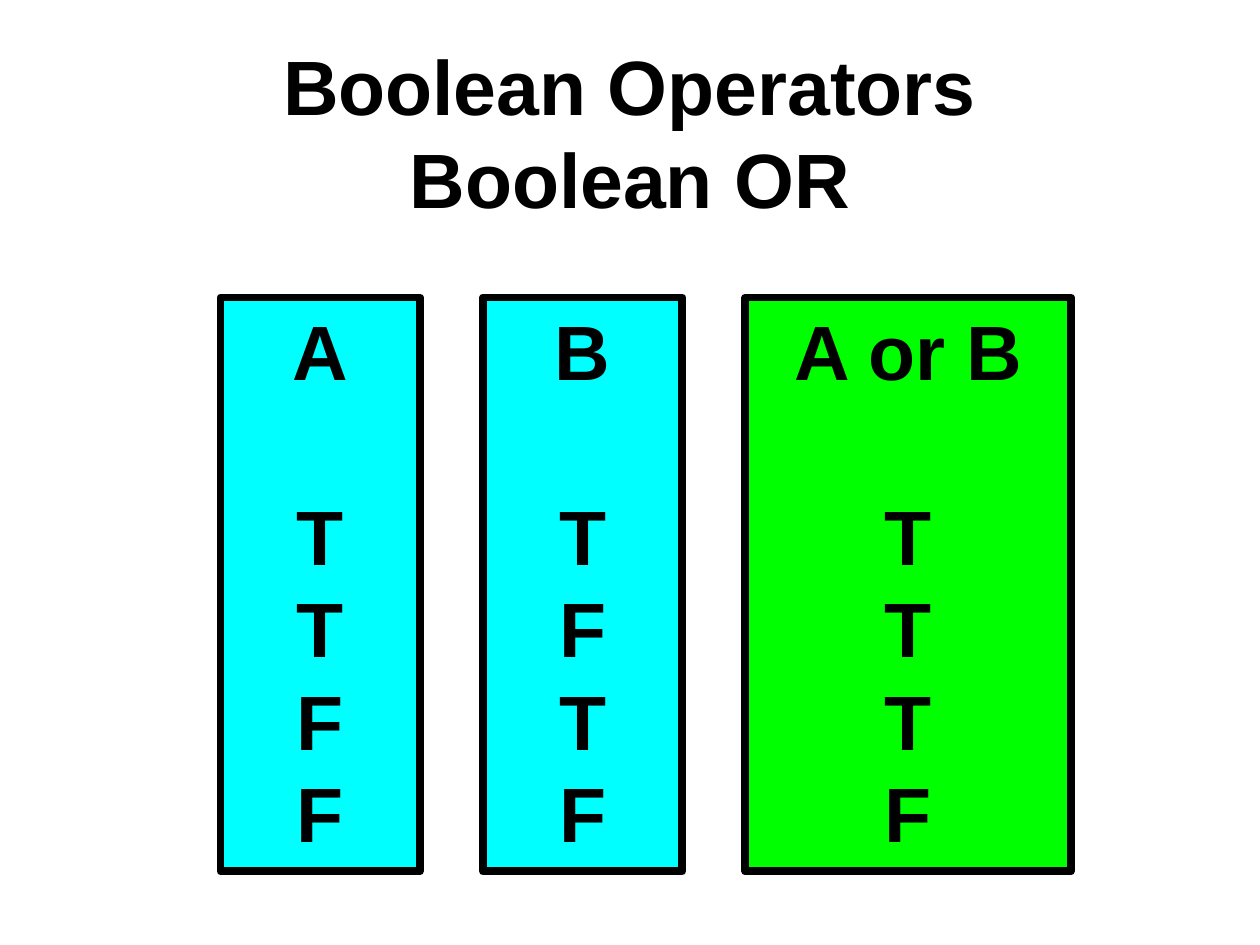
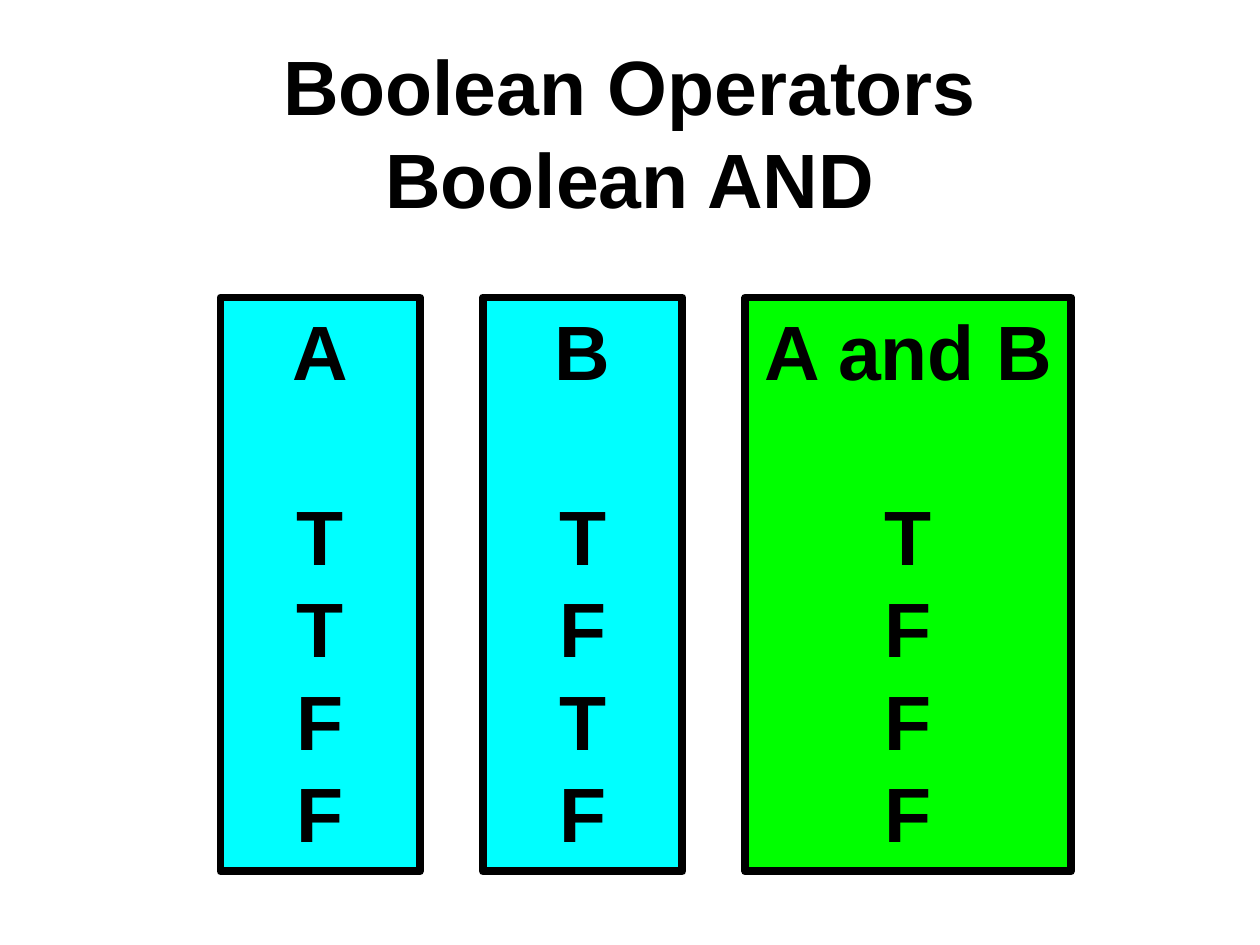
import pptx
import pptx.util
import pptx.dml.color
import pptx.enum.shapes
import pptx.enum.text

Pt = pptx.util.Pt
RGB = pptx.dml.color.RGBColor.from_string
ALIGN = pptx.enum.text.PP_ALIGN
ANCHOR = pptx.enum.text.MSO_ANCHOR

HUES = {"ink": "000000", "input": "00FFFF", "result": "00FF00"}
FONT = {"name": "Arial", "size": Pt(44), "bold": True}
PITCH = Pt(52.8)
PARA = {"alignment": ALIGN.CENTER, "line_spacing": PITCH,
        "space_before": Pt(0), "space_after": Pt(0)}
LEFT, TOP, HIGH, GAP = 126, 170, 328, 36

# Each slide: operator, then its value for every row of A and B
A, B = "TTFF", "TFTF"
TABLES = [("or", "TTTF"), ("and", "TFFF")]


def write(shape, lines, anchor):
    """Fill a shape with one centred bold paragraph per line."""
    frame = shape.text_frame
    frame.word_wrap = True
    frame.vertical_anchor = anchor
    frame.text = "\n".join(lines)
    for para in frame.paragraphs:
        for key, value in PARA.items():
            setattr(para, key, value)
        for run in para.runs:
            for key, value in FONT.items():
                setattr(run.font, key, value)
            run.font.color.rgb = RGB(HUES["ink"])


deck = pptx.Presentation()
deck.slide_width, deck.slide_height = Pt(720), Pt(540)

for name, result in TABLES:
    slide = deck.slides.add_slide(deck.slide_layouts[6])
    title = slide.shapes.add_textbox(Pt(54), Pt(30), Pt(612), Pt(90))
    # A vertical tab breaks the line inside the paragraph
    write(title, [f"Boolean Operators\vBoolean {name.upper()}"], ANCHOR.MIDDLE)

    columns = [("A", A, 114, "input"), ("B", B, 114, "input"),
               (f"A {name} B", result, 186, "result")]
    left = LEFT
    for head, values, wide, hue in columns:
        box = slide.shapes.add_shape(
            pptx.enum.shapes.MSO_SHAPE.RECTANGLE,
            Pt(left), Pt(TOP), Pt(wide), Pt(HIGH))
        box.shadow.inherit = False
        box.fill.solid()
        box.fill.fore_color.rgb = RGB(HUES[hue])
        box.line.color.rgb = RGB(HUES["ink"])
        box.line.width = Pt(4.5)
        write(box, [head, *values], ANCHOR.TOP)
        # Leave one line free below the heading
        box.text_frame.paragraphs[0].space_after = PITCH
        left += wide + GAP

deck.save("out.pptx")
